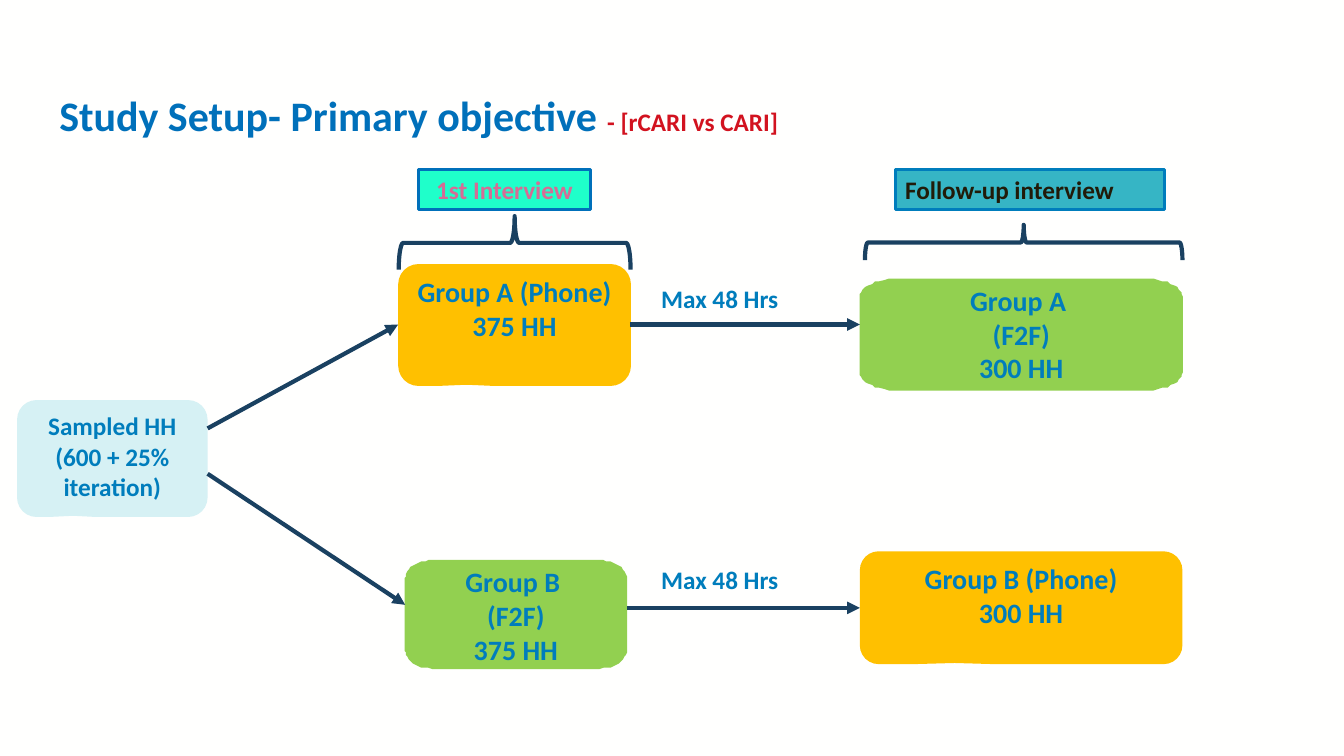
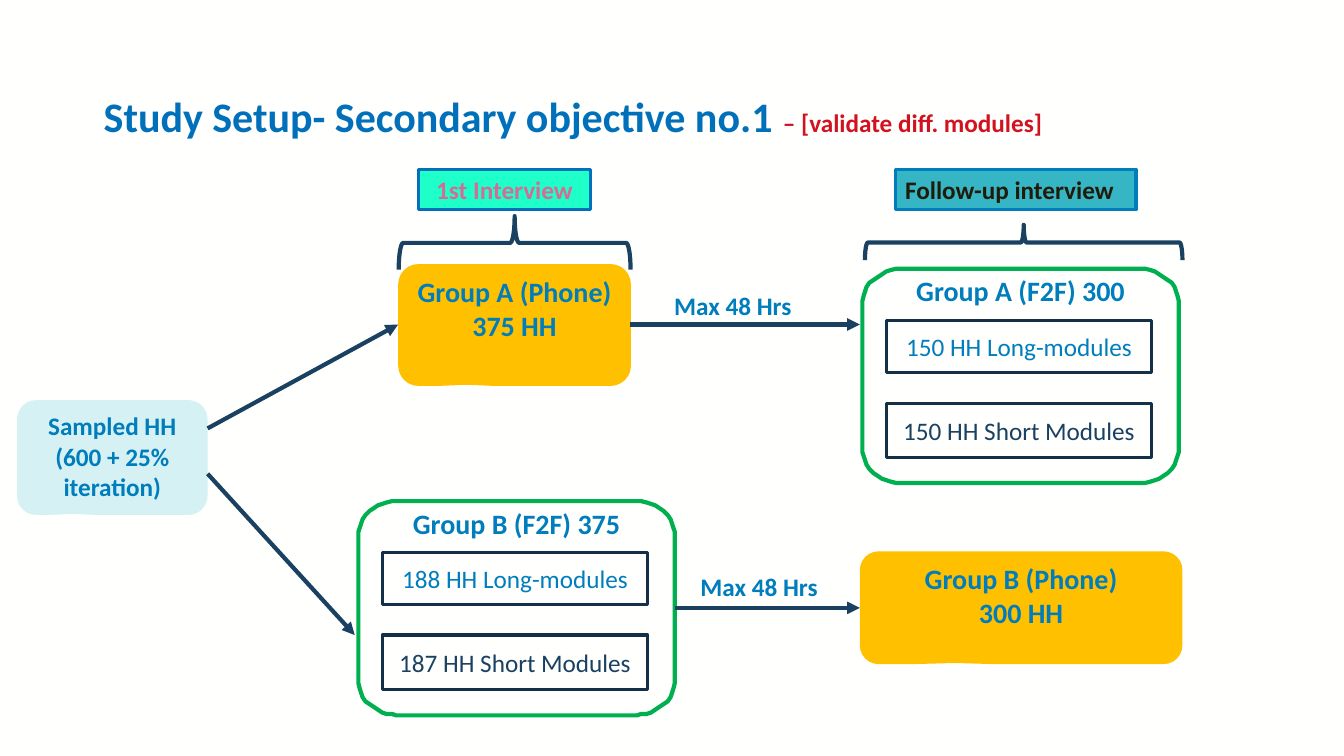
from math import cos, pi, sin

from lxml import etree
from pptx import Presentation
from pptx.dml.color import RGBColor
from pptx.enum.shapes import MSO_CONNECTOR, MSO_SHAPE
from pptx.enum.text import MSO_ANCHOR, PP_ALIGN
from pptx.oxml.ns import qn
from pptx.util import Pt

RECT = MSO_SHAPE.RECTANGLE
CALLOUT = MSO_SHAPE.ROUNDED_RECTANGULAR_CALLOUT
BRACE = MSO_SHAPE.LEFT_BRACE
STRAIGHT = MSO_CONNECTOR.STRAIGHT
TOP, MIDDLE = MSO_ANCHOR.TOP, MSO_ANCHOR.MIDDLE
LEFT, CENTER = PP_ALIGN.LEFT, PP_ALIGN.CENTER

FONT = "Calibri"
COLORS = {
    "paper": "FFFFFE", "title": "0070BA", "accent": "D2121F", "text": "007DBC",
    "navy": "1A4161", "frame": "133048", "phone": "FFC000", "f2f": "92D050",
    "panel": "00B050", "sample": "D6F1F4", "first": "1FFFCA", "first_text": "D56C95",
    "follow": "36B5C5", "follow_text": "211B09",
}

# Shared content: box (left, top, width, height), fill, size, lines
PHONE_BOXES = [
    ((614.2, 393.8, 230.4, 80.6), "phone", 20, ["Group B (Phone)", "300 HH"]),
    ((284.4, 188.6, 166.3, 87.1), "phone", 20, ["Group A (Phone)", "375 HH"]),
]
SAMPLE_LINES = ["Sampled HH", "(600 + 25% iteration)"]
BRACES = [(348.5, 90.7, 38.2, 165.6), (718.6, 59.8, 25.2, 226.8)]
ARROWS = [((148.3, 306), (284.4, 231.8)), ((450, 231.8), (614.2, 231.8))]
LABEL = "Max 48 Hrs"
SAMPLE_EXIT = (148.3, 338.4)
FOLLOW_UP_Y = 434.2

SLIDES = [
    {
        "title": ("Study Setup- Primary objective ", "- [rCARI vs CARI]"),
        "title_box": (35.3, 51.8, 830.2, 64.8),
        "sample_height": 83.5,
        "follow_width": 192.2,
        "group_b_entry": (289.4, 432),
        "group_b_exit": 447.8,
        "labels": [(465.1, 198.7), (465.1, 399.6)],
        "f2f": [
            ((614.2, 198.7, 230.4, 80.6), ["Group A ", "(F2F)", "300 HH"]),
            ((289.4, 400.3, 158.4, 77.2), ["Group B ", "(F2F)", "375 HH"]),
        ],
        "panels": [],
    },
    {
        "title": ("Study Setup- Secondary objective no.1 ", "– [validate diff. modules]"),
        "title_box": (67, 52.6, 856, 64.8),
        "sample_height": 82.1,
        "follow_width": 172.1,
        "group_b_entry": (253.4, 453.6),
        "group_b_exit": 482.4,
        "labels": [(474.5, 203.8), (493.2, 404.6)],
        "f2f": [],
        "panels": [
            ((615.6, 192.2, 226.8, 152.9), "Group A (F2F) 300",
             ["150 HH Long-modules", "150 HH Short Modules"]),
            ((255.6, 357.8, 226.8, 152.9), "Group B (F2F) 375",
             ["188 HH Long-modules", "187 HH Short Modules"]),
        ],
    },
]

# Module rows inside a panel: offset from its top, height, text colour
MODULE_ROWS = [(36.7, 37.4, "text"), (95.8, 38.9, "navy")]
MODULE_LEFT, MODULE_WIDTH = 17.6, 189.4


def rgb(name):
    return RGBColor.from_string(COLORS[name])


def points(values):
    return [Pt(v) for v in values]


def write(sp, lines, size, color="text", bold=True, align=CENTER, anchor=TOP):
    """Each line is one paragraph in one run."""
    tf = sp.text_frame
    tf.word_wrap = True
    tf.vertical_anchor = anchor
    for i, line in enumerate(lines):
        p = tf.add_paragraph() if i else tf.paragraphs[0]
        p.alignment = align
        add_run(p, line, size, color, bold)


def add_run(p, text, size, color, bold=True):
    r = p.add_run()
    r.text = text
    r.font.name, r.font.size, r.font.bold = FONT, Pt(size), bold
    r.font.color.rgb = rgb(color)


def style(sp, fill=None, line=None, width=2.25):
    sp.shadow.inherit = False
    if fill:
        sp.fill.solid()
        sp.fill.fore_color.rgb = rgb(fill)
    else:
        sp.fill.background()
    if line:
        sp.line.color.rgb = rgb(line)
        sp.line.width = Pt(width)
    else:
        sp.line.fill.background()
    return sp


def add_box(s, kind, box, fill=None, line=None, width=2.25):
    return style(s.shapes.add_shape(kind, *points(box)), fill, line, width)


def add_callout(s, box, fill, size, lines):
    sp = add_box(s, CALLOUT, box, fill)
    for i, value in enumerate((-0.206, 0.49, 0.167)):
        sp.adjustments[i] = value
    write(sp, lines, size)


def add_soft_box(s, box, fill, line, lines):
    """A box whose corners are quarter ellipses in proportion to its sides."""
    x, y, w, h = box
    rx, ry = w * 0.123, h * 0.168
    centers = [(x + rx, y + ry), (x + w - rx, y + ry),
               (x + w - rx, y + h - ry), (x + rx, y + h - ry)]
    steps = 12
    outline = []
    for corner, (cx, cy) in enumerate(centers):
        for step in range(steps + 1):
            angle = pi + (corner + step / steps) * pi / 2
            outline.append((cx + rx * cos(angle), cy + ry * sin(angle)))
    fb = s.shapes.build_freeform(*outline[0], scale=float(Pt(1)))
    fb.add_line_segments(outline[1:], close=True)
    sp = style(fb.convert_to_shape(), fill, line, 3)
    write(sp, lines, 20)


def add_arrow(s, start, end):
    cn = s.shapes.add_connector(STRAIGHT, *points(start + end))
    cn.line.color.rgb = rgb("navy")
    cn.line.width = Pt(3)
    etree.SubElement(cn.line._get_or_add_ln(), qn("a:tailEnd"), type="triangle")
    etree.SubElement(cn._element.spPr, qn("a:effectLst"))


def add_title(s, box, heading, note):
    tf = s.shapes.add_textbox(*points(box)).text_frame
    tf.word_wrap = True
    tf.vertical_anchor = MIDDLE
    p = tf.paragraphs[0]
    p.line_spacing = 0.9
    add_run(p, heading, 30, "title")
    add_run(p, note, 18, "accent")


def add_panel(s, box, heading, modules):
    add_soft_box(s, box, "paper", "panel", [heading])
    for text, (offset, height, color) in zip(modules, MODULE_ROWS):
        row = (box[0] + MODULE_LEFT, box[1] + offset, MODULE_WIDTH, height)
        sp = add_box(s, RECT, row, "paper", "frame")
        write(sp, [text], 18, color, bold=False, anchor=MIDDLE)


def build_slide(prs, data):
    s = prs.slides.add_slide(prs.slide_layouts[6])
    s.background.fill.solid()
    s.background.fill.fore_color.rgb = rgb("paper")
    add_title(s, data["title_box"], *data["title"])

    # Sample and interview groups
    add_callout(s, (12.2, 285.8, 136.1, data["sample_height"]), "sample", 18, SAMPLE_LINES)
    for callout in PHONE_BOXES:
        add_callout(s, *callout)
    for box, lines in data["f2f"]:
        add_soft_box(s, box, "f2f", None, lines)
    for panel in data["panels"]:
        add_panel(s, *panel)

    # Column headings with braces
    sp = add_box(s, RECT, (298.8, 121, 123.1, 28.8), "first", "title")
    write(sp, ["1st Interview"], 18, "first_text")
    sp = add_box(s, RECT, (639.4, 121, data["follow_width"], 28.8), "follow", "text")
    write(sp, ["Follow-up interview"], 18, "follow_text", align=LEFT)
    for box in BRACES:
        add_box(s, BRACE, box, None, "navy", 3).rotation = 90

    # Arrows and their labels
    group_b = [(SAMPLE_EXIT, data["group_b_entry"]),
               ((data["group_b_exit"], FOLLOW_UP_Y), (614.2, FOLLOW_UP_Y))]
    for start, end in ARROWS + group_b:
        add_arrow(s, start, end)
    for x, y in data["labels"]:
        tb = s.shapes.add_textbox(*points((x, y, 121, 28.8)))
        write(tb, [LABEL], 18, align=LEFT)


def main():
    prs = Presentation()
    prs.slide_width, prs.slide_height = Pt(960), Pt(540)
    for data in SLIDES:
        build_slide(prs, data)
    prs.save("out.pptx")


if __name__ == "__main__":
    main()
